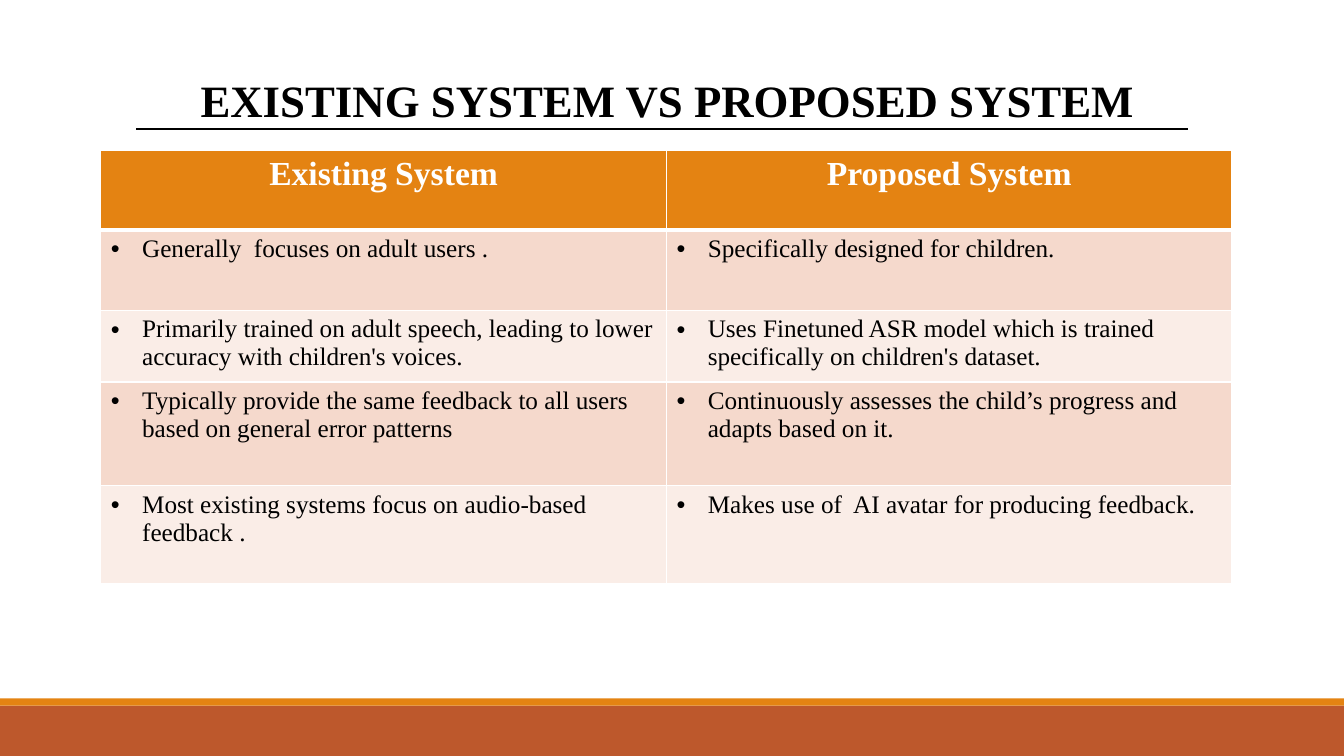
import pptx
import pptx.util
import pptx.dml.color
import pptx.enum.shapes
import pptx.enum.text
import pptx.oxml
import pptx.oxml.ns
import lxml.etree

Inches = pptx.util.Inches
Pt = pptx.util.Pt
RGBColor = pptx.dml.color.RGBColor
ALIGN = pptx.enum.text.PP_ALIGN
BLACK = RGBColor(0x00, 0x00, 0x00)
WHITE = RGBColor(0xFF, 0xFF, 0xFF)
ORANGE = RGBColor(0xE4, 0x83, 0x12)
RUST = RGBColor(0xBD, 0x58, 0x2C)
PINK = RGBColor(0xF5, 0xD9, 0xCC)
PALE = RGBColor(0xFA, 0xED, 0xE7)
FACE = "Times New Roman"
TITLE = {"name": FACE, "size": Pt(32), "bold": True}
HEAD = {"name": FACE, "size": Pt(24), "bold": True}
BODY = {"name": FACE, "size": Pt(18), "bold": False}


def style(para, text, form, color):
    run = para.add_run()
    run.text = text
    for key, value in form.items():
        setattr(run.font, key, value)
    run.font.color.rgb = color


def add(parent, tag, **attrs):
    return lxml.etree.SubElement(parent, pptx.oxml.ns.qn(tag), attrs)


deck = pptx.Presentation()
deck.slide_width = Inches(13.33)
deck.slide_height = Inches(7.5)
slide = deck.slides.add_slide(deck.slide_layouts[6])
shapes = slide.shapes

for top, height, color in [(7, 0.5, RUST), (6.93, 0.07, ORANGE)]:
    bar = shapes.add_shape(
        pptx.enum.shapes.MSO_SHAPE.RECTANGLE,
        Inches(0), Inches(top), Inches(13.33), Inches(height))
    bar.shadow.inherit = False
    bar.fill.solid()
    bar.fill.fore_color.rgb = color
    bar.line.fill.background()

rule = shapes.add_connector(
    pptx.enum.shapes.MSO_CONNECTOR.STRAIGHT,
    Inches(1.35), Inches(1.28), Inches(11.78), Inches(1.28))
rule.line.color.rgb = BLACK
rule.line.width = Pt(1)
add(rule.element.spPr, "a:effectLst")

title = shapes.add_textbox(Inches(1.89), Inches(0.67), Inches(9.55), Inches(0.64))
title.text_frame.word_wrap = False
title.text_frame.auto_size = pptx.enum.text.MSO_AUTO_SIZE.SHAPE_TO_FIT_TEXT
style(title.text_frame.paragraphs[0], "EXISTING SYSTEM VS PROPOSED SYSTEM", TITLE, BLACK)

rows = [
    (0.79, "Existing System", "Proposed System"),
    (0.8, "Generally  focuses on adult users .",
     "Specifically designed for children."),
    (0.71, "Primarily trained on adult speech, leading to lower accuracy with children's voices.",
     "Uses Finetuned ASR model which is trained specifically on children's dataset."),
    (1.03, "Typically provide the same feedback to all users based on general error patterns",
     "Continuously assesses the child’s progress and adapts based on it."),
    (0.97, "Most existing systems focus on audio-based feedback .",
     "Makes use of  AI avatar for producing feedback."),
]
table = shapes.add_table(
    len(rows), 2, Inches(1), Inches(1.49), Inches(11.22), Inches(4.3)).table
for col in table.columns:
    col.width = Inches(5.61)

for i, (height, *texts) in enumerate(rows):
    table.rows[i].height = Inches(height)
    for j, text in enumerate(texts):
        cell = table.cell(i, j)
        para = cell.text_frame.paragraphs[0]
        if i == 0:
            para.alignment = ALIGN.CENTER
            style(para, text, HEAD, WHITE)
        else:
            props = para._p.get_or_add_pPr()
            props.set("marL", str(Inches(0.31)))
            props.set("indent", str(-Inches(0.31)))
            add(props, "a:buFont", typeface="Arial")
            add(props, "a:buChar", char="•")
            style(para, text, BODY, BLACK)
        edges = cell._tc.get_or_add_tcPr()
        for side in "LRTB":
            thick = (i, side) in [(0, "B"), (1, "T")]
            edge = add(edges, "a:ln" + side, w=str(Pt(3 if thick else 1)))
            add(add(edge, "a:solidFill"), "a:srgbClr", val=str(WHITE))
        cell.fill.solid()
        cell.fill.fore_color.rgb = ORANGE if i == 0 else PINK if i % 2 else PALE

deck.save("out.pptx")
